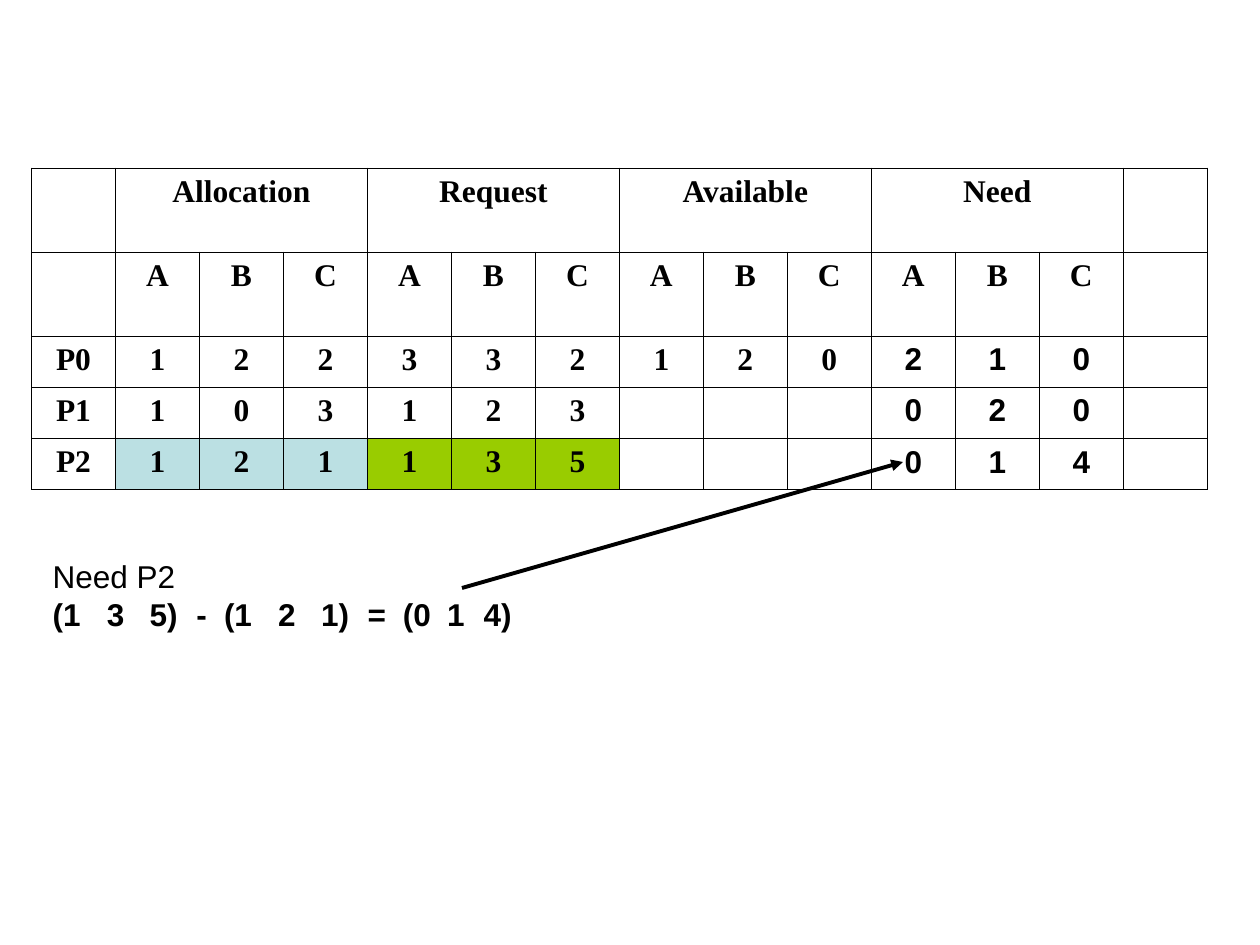
from pptx import Presentation
from pptx.dml.color import RGBColor as RGB
from pptx.enum.shapes import MSO_CONNECTOR as CONN
from pptx.enum.text import PP_ALIGN as ALIGN
from pptx.oxml.ns import qn
from pptx.util import Inches, Pt
from lxml.etree import SubElement

COLORS = {"ink": "000000", "allocation": "BBE0E3", "request": "99CC00"}
SERIF, SANS = "Times New Roman", "Arial"
BORDER = Pt(0.45)


def set_font(font, **values):
    font.color.rgb = RGB.from_string(COLORS["ink"])
    for name, value in values.items():
        setattr(font, name, value)


def add_borders(cell):
    tc_pr = cell._tc.get_or_add_tcPr()
    for side in ("lnL", "lnR", "lnT", "lnB"):
        ln = SubElement(tc_pr, qn(f"a:{side}"), w=str(BORDER))
        fill = SubElement(ln, qn("a:solidFill"))
        SubElement(fill, qn("a:srgbClr"), val=COLORS["ink"])


prs = Presentation()
prs.slide_width, prs.slide_height = Inches(10), Inches(7.5)
s = prs.slides.add_slide(prs.slide_layouts[6])
unit = prs.slide_width / 15  # one table column; the header rows are as tall

# Table: a label column, four groups of A, B, C and an empty last column
groups = ["Allocation", "Request", "Available", "Need"]
header = [""]
for group in groups:
    header += [group, "", ""]
rows = [
    header + [""],
    ["", *"ABC" * len(groups), ""],
    ["P0", *"122", *"332", *"120", *"210", ""],
    ["P1", *"103", *"123", "", "", "", *"020", ""],
    ["P2", *"121", *"135", "", "", "", *"014", ""],
]
row_units = [1, 1, 0.6, 0.6, 0.6]
n_cols = len(rows[0])
need_cols = range(10, 13)
fills = {(4, c): "allocation" if c < 4 else "request" for c in range(1, 7)}

table = s.shapes.add_table(
    len(rows), n_cols, int(0.375 * unit), int(2 * unit),
    int(n_cols * unit), int(sum(row_units) * unit)).table
table.first_row = table.horz_banding = False
for column in table.columns:
    column.width = int(unit)
for row, height in zip(table.rows, row_units):
    row.height = int(height * unit)
for c in range(1, n_cols - 1, 3):
    table.cell(0, c).merge(table.cell(0, c + 2))

for r, values in enumerate(rows):
    for c, value in enumerate(values):
        cell = table.cell(r, c)
        add_borders(cell)
        if (r, c) in fills:
            cell.fill.solid()
            cell.fill.fore_color.rgb = RGB.from_string(COLORS[fills[r, c]])
        else:
            cell.fill.background()
        if value:
            p = cell.text_frame.paragraphs[0]
            p.alignment = ALIGN.CENTER
            run = p.add_run()
            run.text = value
            name = SANS if r > 1 and c in need_cols else SERIF
            set_font(run.font, name=name, size=Pt(18), bold=True)

# Calculation of the need, with its terms on tab stops
box = s.shapes.add_textbox(Inches(0.32), Inches(4.37), Inches(3.94), Inches(0.7))
tf = box.text_frame
tf.word_wrap = True
terms = ["(1", "3", "5)", "-", "(1", "2", "1)", "=", "(0", "1", "4)"]
stops = [0.43, 0.77, 1.14, 1.36, 1.79, 2.13, 2.5, 2.78, 3.13, 3.42]
label, formula = tf.paragraphs[0], tf.add_paragraph()
tab_list = SubElement(formula._p.get_or_add_pPr(), qn("a:tabLst"))
for stop in stops:
    SubElement(tab_list, qn("a:tab"), pos=str(Inches(stop)), algn="l")
for p, text, bold in ((label, "Need P2", False), (formula, "\t".join(terms), True)):
    run = p.add_run()
    run.text = text
    set_font(run.font, name=SANS, size=Pt(18), bold=bold)

# Arrow from the calculation to the P2 need
arrow = s.shapes.add_connector(
    CONN.STRAIGHT, *(int(k * unit) for k in (5.5, 7, 10.75, 5.5)))
arrow.line.color.rgb = RGB.from_string(COLORS["ink"])
arrow.line.width = Pt(2.25)
SubElement(arrow.line._get_or_add_ln(), qn("a:tailEnd"), type="triangle")
SubElement(arrow._element.spPr, qn("a:effectLst"))

prs.save("out.pptx")
